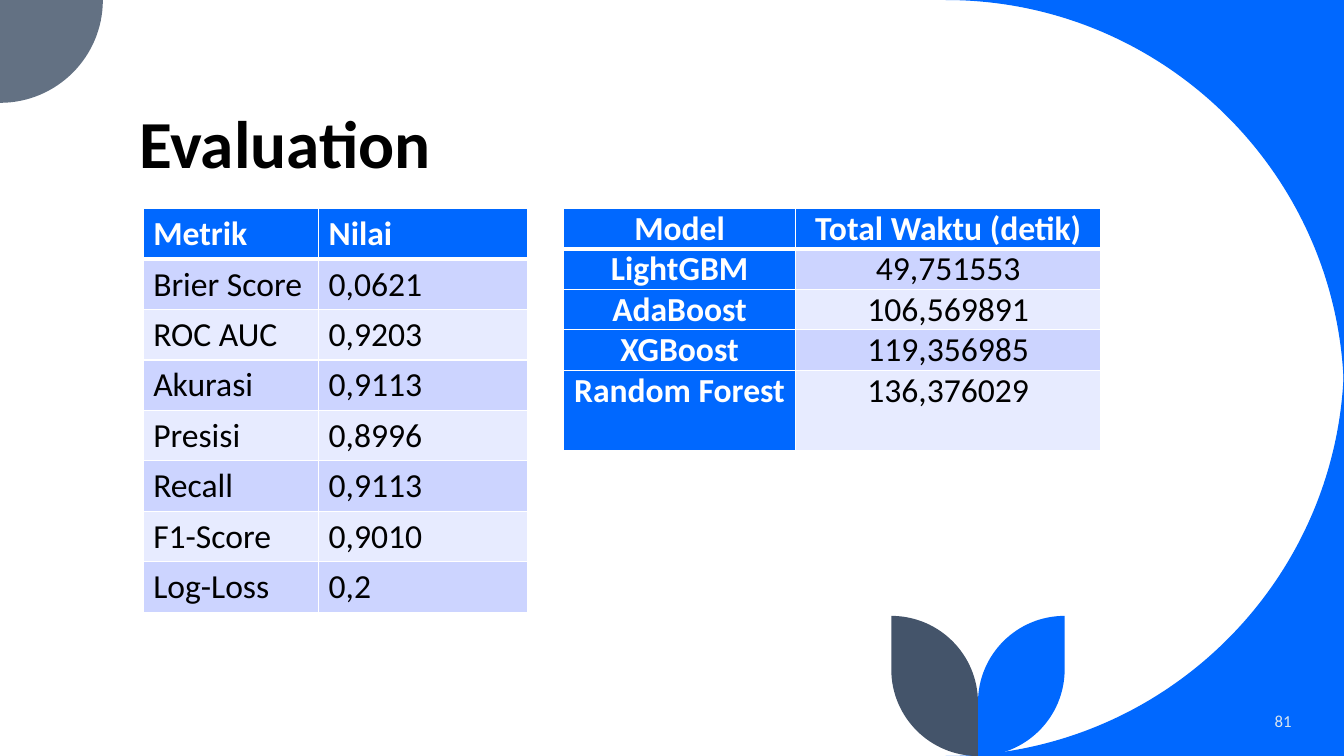
from lxml.etree import SubElement
from pptx import Presentation
from pptx.dml.color import RGBColor
from pptx.enum.text import MSO_ANCHOR, PP_ALIGN
from pptx.oxml.ns import qn
from pptx.util import Pt

PX = 9144  # 100 px to the inch
ROUND = 0.5523  # control point distance of a quarter circle
BLUE, SLATE, GREY, WHITE, BLACK = "0068FF", "44546A", "637183", "FFFFFF", "000000"
BANDS = ["CCD4FF", "E7EBFF"]


def style_text(text_frame, size, color, bold=False, align=PP_ALIGN.LEFT):
    paragraph = text_frame.paragraphs[0]
    paragraph.alignment = align
    font = paragraph.runs[0].font
    font.name, font.size, font.bold = "Calibri", Pt(size), bold
    font.color.rgb = RGBColor.from_string(color)


def add_outline(start, steps, color):
    """A step of one point is a line; a step of two is a curve round a corner to an end."""
    builder = slide.shapes.build_freeform(start[0] * PX, start[1] * PX)
    current = start
    for step in steps:
        corner, end = step[0], step[-1]
        points = [end]
        if len(step) == 2:
            controls = [[a + (b - a) * ROUND for a, b in zip(point, corner)]
                        for point in (current, end)]
            points = controls + points
        builder.add_line_segments([(round(x * PX), round(y * PX)) for x, y in points],
                                  close=step is steps[-1])
        current = end
    shape = builder.convert_to_shape()
    shape.shadow.inherit = False
    shape.fill.solid()
    shape.fill.fore_color.rgb = RGBColor.from_string(color)
    shape.line.fill.background()

    # Join three line segments into each curve
    path = next(shape._element.iter(qn("a:path")))
    lines = iter(path.findall(qn("a:lnTo")))
    for step in steps:
        segment = next(lines)
        if len(step) == 2:
            segment.tag = qn("a:cubicBezTo")
            for extra in (next(lines), next(lines)):
                segment.append(extra[0])
                path.remove(extra)


presentation = Presentation()
presentation.slide_width, presentation.slide_height = 1333 * PX, 750 * PX
slide = presentation.slides.add_slide(presentation.slide_layouts[5])

# Corner curves
add_outline((1333, 0), [[(938, 0)], [(1333, 0), (1333, 395)]], BLUE)
add_outline((1333, 355), [[(1333, 750), (938, 750)], [(1333, 750)]], BLUE)
add_outline((0, 0), [[(102, 0)], [(102, 102), (0, 102)]], GREY)

# Two leaves, mirrored about their shared stem
stem = 970
for side, color in [(1, BLUE), (-1, SLATE)]:
    edge = stem + side * 86
    add_outline((edge, 611), [[(edge, 664)], [(edge, 750), (stem, 750)],
                              [(stem, 697)], [(stem, 611), (edge, 611)]], color)

# Title
title = slide.shapes.title
title.left, title.top, title.width, title.height = 128 * PX, 42 * PX, 1069 * PX, 145 * PX
title.text_frame.text = "Evaluation"
title.text_frame.vertical_anchor = MSO_ANCHOR.BOTTOM
title.text_frame.paragraphs[0].line_spacing = 0.9
style_text(title.text_frame, 48, BLACK, bold=True)

# Slide number
number = slide.shapes.add_textbox(1110 * PX, 695 * PX, 181 * PX, 40 * PX)
number.text_frame.word_wrap = True
number.text_frame.text = "81"
number.text_frame.vertical_anchor = MSO_ANCHOR.MIDDLE
style_text(number.text_frame, 12, "DAE5EF", align=PP_ALIGN.RIGHT)

# Tables: left, height, column widths, row heights, margins, alignment, bold first column, rows
metrics = [
    ("Metrik", "Nilai"),
    ("Brier Score", "0,0621"),
    ("ROC AUC", "0,9203"),
    ("Akurasi", "0,9113"),
    ("Presisi", "0,8996"),
    ("Recall", "0,9113"),
    ("F1-Score", "0,9010"),
    ("Log-Loss", "0,2"),
]
times = [
    ("Model", "Total Waktu (detik)"),
    ("LightGBM", "49,751553"),
    ("AdaBoost", "106,569891"),
    ("XGBoost", "119,356985"),
    ("Random Forest", "136,376029"),
]
tables = [
    (142, 400, [174, 207], [41] * 8, (10, 5), PP_ALIGN.LEFT, False, metrics),
    (559, 240, [230, 303], [38] * 4 + [80], (7, 0), PP_ALIGN.CENTER, True, times),
]
for left, total, widths, heights, margins, align, key_column, rows in tables:
    frame = slide.shapes.add_table(len(rows), len(widths), left * PX, 207 * PX,
                                   sum(widths) * PX, total * PX)
    table = frame.table
    for column, width in zip(table.columns, widths):
        column.width = width * PX
    for row, height in zip(table.rows, heights):
        row.height = height * PX
    frame.height = total * PX
    for row_index, values in enumerate(rows):
        for column_index, value in enumerate(values):
            cell = table.cell(row_index, column_index)
            heading = row_index == 0 or (key_column and column_index == 0)
            cell.margin_left = cell.margin_right = margins[0] * PX
            cell.margin_top = cell.margin_bottom = margins[1] * PX
            cell.text_frame.text = value
            style_text(cell.text_frame, 24, WHITE if heading else BLACK, heading, align)

            # White borders, thicker under the header row
            properties = cell._tc.get_or_add_tcPr()
            for side in "LRTB":
                thick = row_index == 0 and side == "B"
                border = SubElement(properties, qn(f"a:ln{side}"), w=str(Pt(3 if thick else 1)))
                fill = SubElement(border, qn("a:solidFill"))
                SubElement(fill, qn("a:srgbClr"), val=WHITE)
            cell.fill.solid()
            cell.fill.fore_color.rgb = RGBColor.from_string(
                BLUE if heading else BANDS[(row_index - 1) % 2])

presentation.save("out.pptx")
